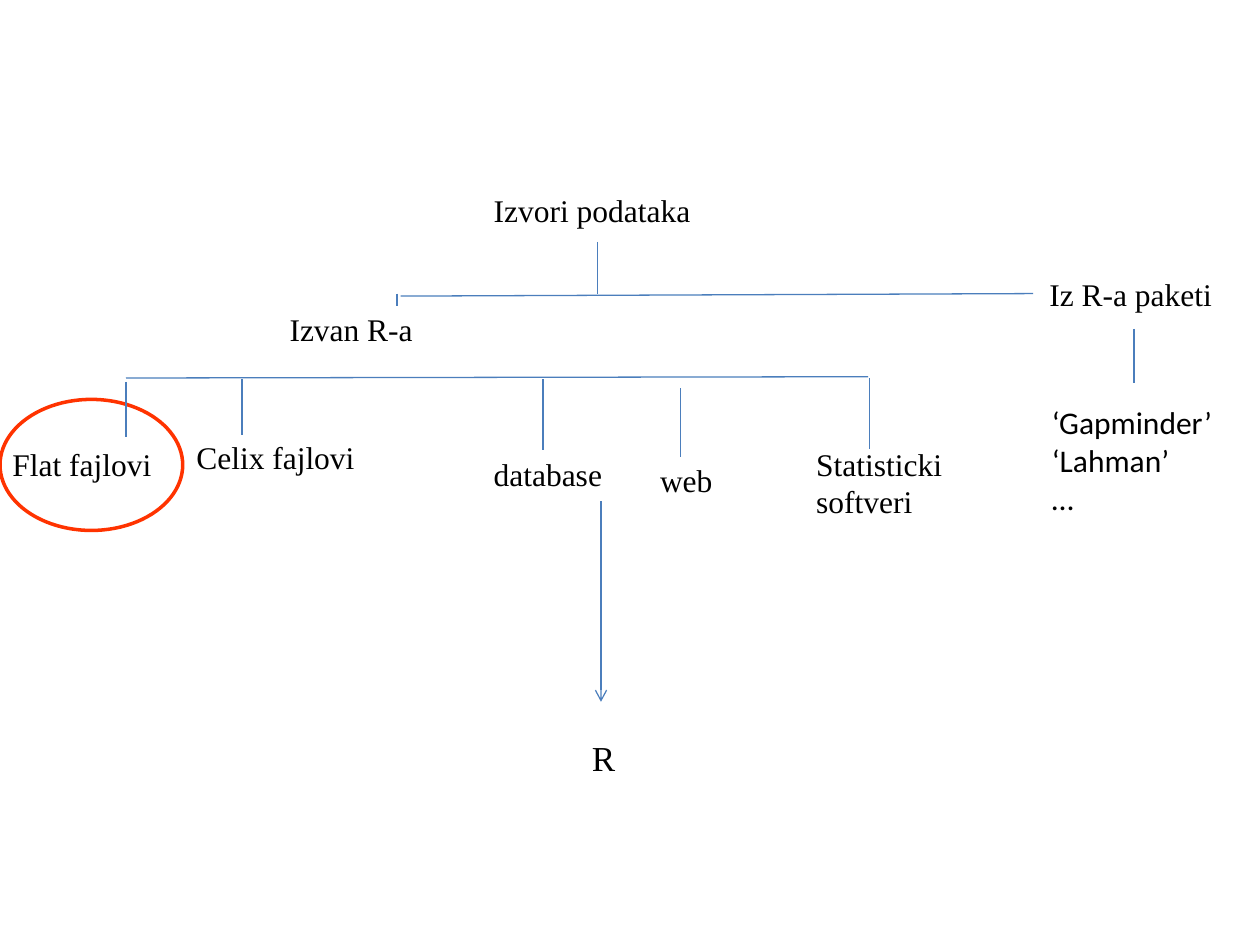
"""Build a one-slide tree of data sources that lead into R."""
from typing import NamedTuple

from lxml.etree import SubElement
from pptx import Presentation
from pptx.dml.color import RGBColor
from pptx.enum.shapes import MSO_CONNECTOR as Connector, MSO_SHAPE as Shape
from pptx.oxml.ns import qn
from pptx.slide import Slide
from pptx.util import Inches, Pt

COLORS = {"text": "000000", "branch": "4B7EBC", "highlight": "FF3300"}
SERIF = "Times New Roman"
WIDTH, HEIGHT = Inches(10), Inches(7.5)
COLUMN, ROW = WIDTH / 100, HEIGHT / 75


class Label(NamedTuple):
    """Text with its place in grid columns and rows."""
    lines: tuple[str, ...]
    left: float
    top: float
    width: float
    height: float = 4
    font: str = SERIF
    size: int = 18


class Branch(NamedTuple):
    """Straight line between two grid points."""
    x1: float
    y1: float
    x2: float
    y2: float
    arrow: bool = False


class Stem(NamedTuple):
    """Vertical line at one grid column."""
    x: float
    top: float
    bottom: float
    arrow: bool = False


LABELS = (
    Label(("Izvori podataka",), 38.2, 14.7, 24.2),
    Label(("Izvan R-a",), 22, 24.1, 13.3),
    Label(("Iz R-a paketi",), 82.3, 21.3, 17.5),
    Label(("Flat fajlovi",), 0, 34.8, 15.1),
    Label(("Celix fajlovi",), 14.6, 34.3, 15.1),
    Label(("database",), 38.2, 35.6, 11.7),
    Label(("web",), 51.4, 36.1, 13.3),
    Label(("Statisticki softveri",), 63.8, 34.8, 20, 7.1),
    Label(("‘Gapminder’", "‘Lahman’", "…"), 82.5, 31.5, 16.5, 10.1, "Calibri"),
    Label(("R",), 46, 58, 5.4, 4.4, size=20),
)
BRANCHES = (Branch(31.8, 23.5, 82, 23.3), Branch(10, 30, 68.9, 29.9))
STEMS = (
    Stem(47.4, 19.2, 23.3),
    Stem(31.5, 23.3, 24.3),
    Stem(90, 26.1, 30.4),
    Stem(10, 30.3, 34.7),
    Stem(19.2, 30.1, 34.5),
    Stem(43.1, 30.1, 35.7),
    Stem(54, 30.8, 36.3),
    Stem(69, 30, 35.6),
    Stem(47.7, 39.8, 55.7, arrow=True),
)


def across(columns: float) -> int:
    """Convert grid columns to a length."""
    return round(columns * COLUMN)


def down(rows: float) -> int:
    """Convert grid rows to a length."""
    return round(rows * ROW)


def color(name: str) -> RGBColor:
    """Look up a named colour."""
    return RGBColor.from_string(COLORS[name])


def draw_label(page: Slide, label: Label) -> None:
    """Write one label, a paragraph for each line."""
    box = page.shapes.add_textbox(across(label.left), down(label.top),
                                  across(label.width), down(label.height))
    frame = box.text_frame
    frame.word_wrap = True
    frame.text = "\n".join(label.lines)
    for para in frame.paragraphs:
        para.font.name = label.font
        para.font.size = Pt(label.size)
        para.font.color.rgb = color("text")


def draw_branch(page: Slide, branch: Branch) -> None:
    """Draw one thin line, with an arrowhead if asked."""
    line = page.shapes.add_connector(Connector.STRAIGHT, across(branch.x1), down(branch.y1),
                                     across(branch.x2), down(branch.y2))
    line.line.color.rgb = color("branch")
    line.line.width = Pt(0.75)
    if branch.arrow:
        SubElement(line.line._get_or_add_ln(), qn("a:tailEnd"), type="arrow")
    SubElement(line._element.spPr, qn("a:effectLst"))


def draw_highlight(page: Slide, left: float, top: float, width: float, height: float) -> None:
    """Ring an area with an unfilled ellipse."""
    ring = page.shapes.add_shape(Shape.OVAL, across(left), down(top),
                                 across(width), down(height))
    ring.shadow.inherit = False
    ring.fill.background()
    ring.line.color.rgb = color("highlight")
    ring.line.width = Pt(2)


def main() -> None:
    """Assemble and save the deck."""
    deck = Presentation()
    deck.slide_width, deck.slide_height = WIDTH, HEIGHT
    page = deck.slides.add_slide(deck.slide_layouts[6])
    for label in LABELS:
        draw_label(page, label)
    draw_highlight(page, 0, 31.7, 14.5, 10.4)
    for branch in BRANCHES:
        draw_branch(page, branch)
    for stem in STEMS:
        draw_branch(page, Branch(stem.x, stem.top, stem.x, stem.bottom, stem.arrow))
    deck.save("out.pptx")


if __name__ == "__main__":
    main()
